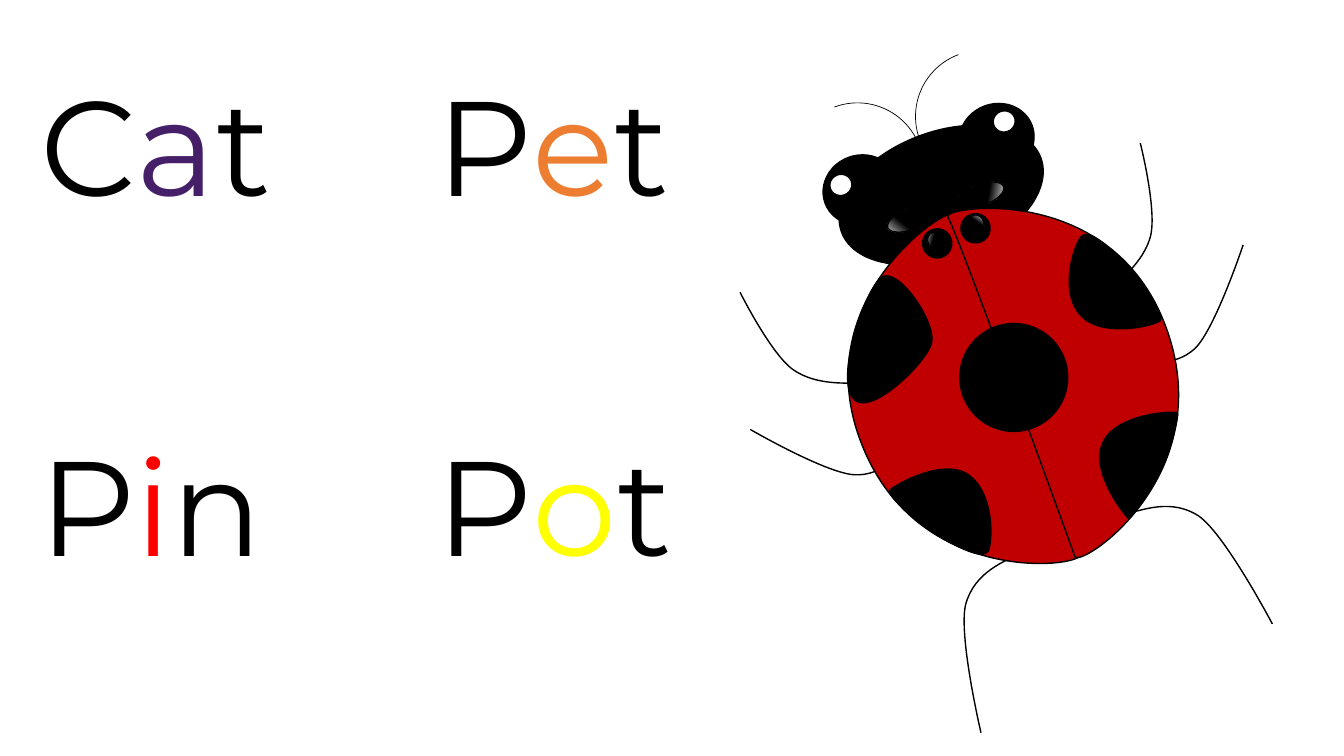
import math
import lxml.etree
import pptx
import pptx.util
import pptx.dml.color
import pptx.enum.shapes
import pptx.enum.text
import pptx.oxml
import pptx.oxml.ns

Inches = pptx.util.Inches
Pt = pptx.util.Pt
RGBColor = pptx.dml.color.RGBColor
KIND = pptx.enum.shapes.MSO_SHAPE
qn = pptx.oxml.ns.qn

BLACK = RGBColor(0x00, 0x00, 0x00)
WHITE = RGBColor(0xFF, 0xFF, 0xFF)
SHELL = RGBColor(0xC0, 0x00, 0x00)
PURPLE = RGBColor(0x45, 0x20, 0x69)
ORANGE = RGBColor(0xED, 0x7D, 0x31)
RED = RGBColor(0xFF, 0x00, 0x00)
YELLOW = RGBColor(0xFF, 0xFF, 0x00)
TILT = 339.5

deck = pptx.Presentation()
deck.slide_width = Inches(13.33)
deck.slide_height = Inches(7.5)
slide = deck.slides.add_slide(deck.slide_layouts[6])
bug = slide.shapes.add_group_shape().shapes


def paint(shape, fill, turn, width=1):
    """Turn a part and give it a black outline and a plain, shiny or no fill."""
    shape.rotation = turn
    shape.shadow.inherit = False
    shape.line.color.rgb = BLACK
    shape.line.width = Pt(width)
    if fill is None:
        shape.fill.background()
    elif fill == "shine":
        shape.fill.gradient()
        shape.fill.gradient_angle = 150
        for stop, color, place in zip(shape.fill.gradient_stops, (WHITE, BLACK), (0, 0.38)):
            stop.color.rgb = color
            stop.position = place
    else:
        shape.fill.solid()
        shape.fill.fore_color.rgb = fill


def curve(frame, turn, start, bends, fill=None):
    """Draw cubic bends, given in slide inches, inside a turned frame."""
    left, top, width, height = frame
    pen = bug.build_freeform(Inches(left), Inches(top), scale=1.0)
    pen.add_line_segments([(Inches(left + width), Inches(top + height))], close=False)
    shape = pen.convert_to_shape()
    trace = shape._element.find(".//" + qn("a:path"))
    for step in list(trace):
        trace.remove(step)
    cos, sin = math.cos(math.radians(turn)), math.sin(math.radians(turn))
    steps = [("a:moveTo", start)] + [("a:cubicBezTo", bend) for bend in bends]
    if fill is None:
        steps.append(("a:lnTo", bends[-1][4:]))
    for tag, knots in steps:
        step = lxml.etree.SubElement(trace, qn(tag))
        for x, y in zip(knots[::2], knots[1::2]):
            dx, dy = x - left - width / 2, y - top - height / 2
            dot = lxml.etree.SubElement(step, qn("a:pt"))
            dot.set("x", str(Inches(width / 2 + dx * cos + dy * sin)))
            dot.set("y", str(Inches(height / 2 - dx * sin + dy * cos)))
    if fill is not None:
        lxml.etree.SubElement(trace, qn("a:close"))
    paint(shape, fill, turn)


# Legs
legs = [
    ((9.43, 5.6, 1.1, 1.53), TILT, (10.22, 5.45),
     (9.94, 5.57, 9.67, 5.68, 9.58, 5.99), (9.5, 6.29, 9.73, 7.27, 9.73, 7.27)),
    ((11.25, 2.33, 0.96, 1.34), 11.2, (11.13, 3.56),
     (11.39, 3.6, 11.65, 3.64, 11.85, 3.46), (12.05, 3.27, 12.33, 2.43, 12.33, 2.43)),
    ((11.29, 4.9, 1.1, 1.53), TILT, (11.06, 5.14),
     (11.35, 5.04, 11.63, 4.95, 11.89, 5.12), (12.15, 5.3, 12.62, 6.19, 12.62, 6.19)),
    ((7.79, 3.62, 0.96, 1.34), 307.8, (9.09, 4.32),
     (8.92, 4.52, 8.75, 4.72, 8.48, 4.71), (8.2, 4.7, 7.44, 4.26, 7.44, 4.26)),
    ((7.54, 2.69, 0.94, 1.31), TILT, (8.67, 3.79),
     (8.38, 3.81, 8.09, 3.82, 7.87, 3.67), (7.65, 3.52, 7.34, 2.9, 7.34, 2.9)),
    ((10.63, 1.54, 0.94, 1.31), TILT, (10.89, 2.97),
     (11.11, 2.79, 11.34, 2.6, 11.41, 2.35), (11.48, 2.09, 11.31, 1.42, 11.31, 1.42)),
]
for frame, turn, start, *bends in legs:
    curve(frame, turn, start, bends)

# Feelers
for left, top, turn, flip in ((9.08, 0.5, 249.5, "0"), (7.85, 1.02, 69.5, "1")):
    feeler = bug.add_shape(KIND.ARC, Inches(left), Inches(top), Inches(1.31), Inches(1.31))
    feeler._element.spPr.find(qn("a:xfrm")).set("flipH", flip)
    paint(feeler, None, turn, 0.5)

# Ovals: head behind the wings, the rest in front
head = [(8.28, 1.31, 2.11, 1.25, TILT, BLACK, "0")]
front = [
    (9.52, 3.21, 1.07, 1.07, TILT, BLACK, "0"),    # middle spot
    (9.51, 1.03, 0.75, 0.69, TILT, BLACK, "0"),    # eyes
    (8.16, 1.54, 0.75, 0.69, TILT, BLACK, "0"),
    (9.15, 2.27, 0.29, 0.29, TILT, BLACK, "0"),    # neck dots
    (9.53, 2.12, 0.29, 0.29, TILT, BLACK, "0"),
    (9.49, 1.83, 0.48, 0.21, TILT, "shine", "0"),  # head shine
    (8.79, 2.07, 0.48, 0.21, TILT, "shine", "1"),
    (9.85, 1.1, 0.22, 0.21, TILT, WHITE, "0"),     # pupils
    (8.23, 1.73, 0.22, 0.21, TILT, WHITE, "0"),
    (9.57, 2.15, 0.21, 0.17, 274.8, "shine", "0"),  # dot shine
    (9.19, 2.31, 0.21, 0.17, 44.2, "shine", "1"),
]
wings = [
    ((8.49, 2.28, 1.65, 3.65), (8.54, 4.39), (7.98, 2.94, 9.44, 2.02, 9.45, 2.13),
     (9.46, 2.24, 10.66, 5.39, 10.71, 5.5), (10.77, 5.62, 9.1, 5.85, 8.54, 4.39)),
    ((9.98, 1.73, 1.65, 3.65), (11.57, 3.26), (11.04, 1.79, 9.34, 2.05, 9.4, 2.15),
     (9.47, 2.24, 10.62, 5.4, 10.66, 5.52), (10.7, 5.65, 12.1, 4.73, 11.57, 3.26)),
]
for ovals, shells in ((head, wings), (front, [])):
    for left, top, width, height, turn, fill, flip in ovals:
        oval = bug.add_shape(KIND.OVAL, Inches(left), Inches(top), Inches(width), Inches(height))
        oval._element.spPr.find(qn("a:xfrm")).set("flipH", flip)
        paint(oval, fill, turn)
    for frame, start, *bends in shells:
        curve(frame, TILT, start, bends, SHELL)

# Spots on the wing edges
spots = [
    ((10.91, 3.95, 0.64, 1.14), 25, (10.94, 4.39),
     (11.07, 4.1, 11.66, 4.07, 11.68, 4.1), (11.69, 4.13, 11.61, 4.47, 11.53, 4.64),
     (11.45, 4.81, 11.22, 5.15, 11.19, 5.14), (11.16, 5.12, 10.8, 4.67, 10.94, 4.39)),
    ((9.08, 4.42, 0.67, 1.14), 121.3, (9.59, 4.7),
     (9.86, 4.87, 9.85, 5.37, 9.8, 5.47), (9.74, 5.57, 9.41, 5.38, 9.25, 5.28),
     (9.09, 5.18, 8.8, 4.91, 8.82, 4.87), (8.83, 4.84, 9.32, 4.54, 9.59, 4.7)),
    ((10.63, 2.33, 0.69, 1.14), 317.2, (10.72, 3.13),
     (10.5, 2.9, 10.65, 2.42, 10.73, 2.34), (10.81, 2.26, 11.08, 2.52, 11.21, 2.66),
     (11.34, 2.8, 11.55, 3.13, 11.51, 3.18), (11.46, 3.23, 10.93, 3.36, 10.72, 3.13)),
    ((8.44, 2.74, 0.81, 1.28), 185.2, (9.24, 3.4), (9.2, 3.59, 8.6, 4.18, 8.45, 3.94),
     (8.3, 3.71, 8.57, 2.91, 8.73, 2.76), (8.89, 2.61, 9.29, 3.2, 9.24, 3.4)),
]
for frame, turn, start, *bends in spots:
    curve(frame, turn, start, bends, BLACK)

# Words with a coloured vowel
words = [
    ("Cat", PURPLE, 0.3, 0.57, 3.19),
    ("Pet", ORANGE, 4.23, 0.57, 2.92),
    ("Pin", RED, 0.29, 4.14, 3.19),
    ("Pot", YELLOW, 4.23, 4.14, 2.92),
]
face = {"name": "Montserrat", "size": Pt(96)}
edge = ('<a:ln xmlns:a="http://schemas.openxmlformats.org/drawingml/2006/main" w="9525">'
        '<a:solidFill><a:srgbClr val="000000"/></a:solidFill></a:ln>')
for word, vowel, left, top, width in words:
    box = slide.shapes.add_textbox(Inches(left), Inches(top), Inches(width), Inches(1.72))
    frame = box.text_frame
    frame.word_wrap = True
    frame.auto_size = pptx.enum.text.MSO_AUTO_SIZE.SHAPE_TO_FIT_TEXT
    for letter, color in zip(word, (BLACK, vowel, BLACK)):
        run = frame.paragraphs[0].add_run()
        run.text = letter
        for key, value in face.items():
            setattr(run.font, key, value)
        run.font.color.rgb = color
        run._r.get_or_add_rPr().insert(0, pptx.oxml.parse_xml(edge))

deck.save("out.pptx")
